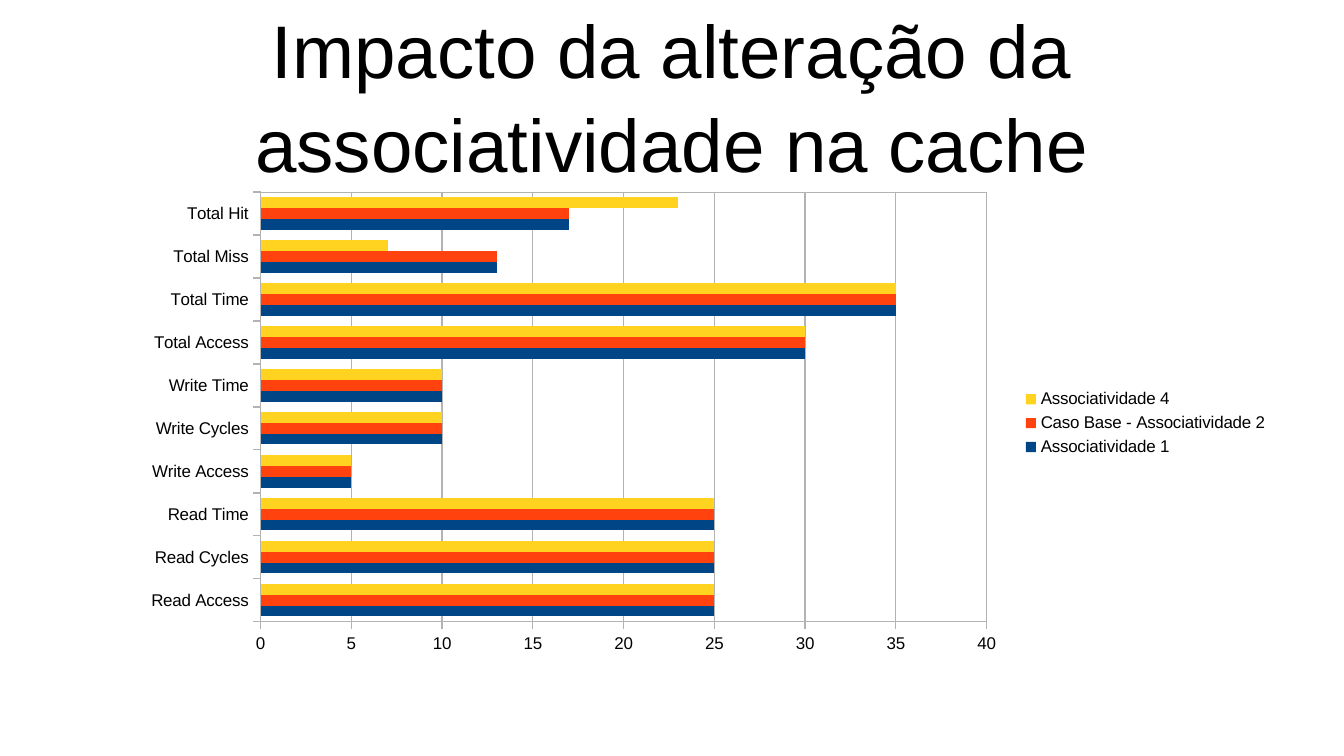
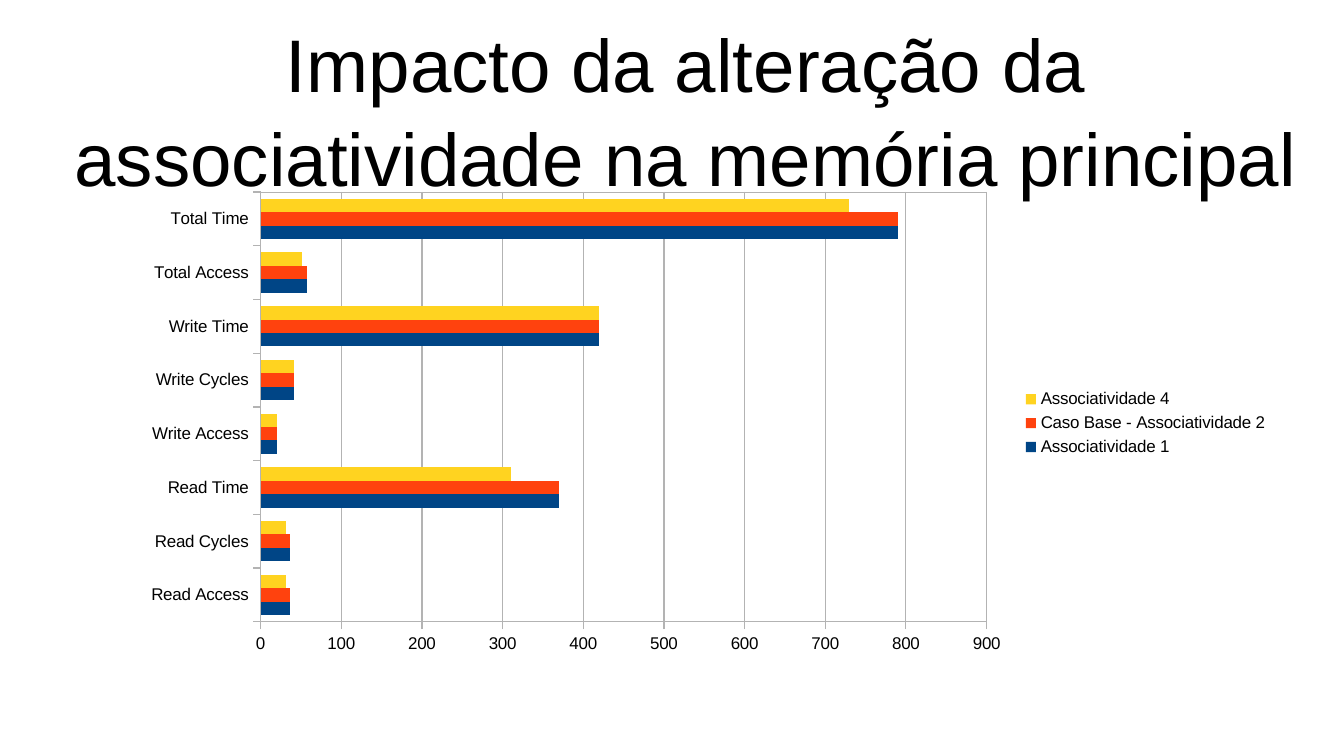
from lxml import etree
from pptx import Presentation
from pptx.chart import data as chart_data
from pptx.dml import color
from pptx.enum import chart as chart_enum, text
from pptx.oxml import ns, parse_xml
from pptx.util import Pt

FONT = "Arial"
BLACK = "000000"
GRID_GREY = "B3B3B3"
SERIES_COLOURS = {
    "Associatividade 1": "004586",
    "Caso Base - Associatividade 2": "FF420E",
    "Associatividade 4": "FFD320",
}
CHART_BOX = (75.6, 108, 680.4, 283.7)

READ_WRITE = ["Read Access", "Read Cycles", "Read Time",
              "Write Access", "Write Cycles", "Write Time",
              "Total Access", "Total Time"]
CACHE_BASE = [25, 25, 25, 5, 10, 10, 30, 35]
MEMORY_BASE = [37, 37, 370, 21, 42, 420, 58, 790]

SLIDES = [
    {
        "title": "Impacto da alteração da associatividade na cache",
        "title_box": (39.6, 5.8, 714.2, 98.6),
        "categories": READ_WRITE + ["Total Miss", "Total Hit"],
        "values": [CACHE_BASE + [13, 17], CACHE_BASE + [13, 17],
                   CACHE_BASE + [7, 23]],
        "maximum": 40, "step": 5, "plot_width": 0.63,
    },
    {
        "title": "Impacto da alteração da associatividade na memória principal",
        "title_box": (36, -34.6, 738, 196.6),
        "categories": READ_WRITE,
        "values": [MEMORY_BASE, MEMORY_BASE,
                   [31, 31, 310, 21, 42, 420, 52, 730]],
        "maximum": 900, "step": 100, "plot_width": 0.63,
    },
]


def rgb(hex_code):
    return color.RGBColor.from_string(hex_code)


def set_all(target, values):
    for name, value in values.items():
        setattr(target, name, value)


def style_font(font, size):
    set_all(font, {"name": FONT, "size": Pt(size), "bold": False})
    font.color.rgb = rgb(BLACK)


def style_line(line):
    line.color.rgb = rgb(GRID_GREY)
    line.width = Pt(0)


def add_part(parent, tag, **attributes):
    """Append an element such as "c:layout" and return it."""
    return etree.SubElement(parent, ns.qn(tag), attributes)


def shape_properties():
    return parse_xml(f'<c:spPr {ns.nsdecls("c", "a")}><a:noFill/><a:ln w="0"/></c:spPr>')


def frame_plot(chart, width):
    """Fix the inner plot area, outline it and leave the chart unfilled."""
    body = chart.element.find(ns.qn("c:chart"))
    chart_look = shape_properties()
    add_part(chart_look.find(ns.qn("a:ln")), "a:noFill")
    body.addnext(chart_look)

    area = body.find(ns.qn("c:plotArea"))
    for old_layout in area.findall(ns.qn("c:layout")):
        area.remove(old_layout)
    layout = add_part(area, "c:layout")
    area.insert(0, layout)
    manual = add_part(layout, "c:manualLayout")
    places = {"layoutTarget": "inner", "xMode": "edge", "yMode": "edge",
              "x": 0.115, "y": 0.019, "w": width, "h": 0.895}
    for name, value in places.items():
        add_part(manual, f"c:{name}", val=str(value))

    wall_look = shape_properties()
    outline = add_part(wall_look.find(ns.qn("a:ln")), "a:solidFill")
    add_part(outline, "a:srgbClr", val=GRID_GREY)
    area.append(wall_look)


def add_title(slide, wording, bounds):
    box = slide.shapes.add_textbox(*map(Pt, bounds))
    frame = box.text_frame
    set_all(frame, {
        "word_wrap": True,
        "auto_size": text.MSO_AUTO_SIZE.SHAPE_TO_FIT_TEXT,
        "vertical_anchor": text.MSO_ANCHOR.MIDDLE,
        "margin_left": 0, "margin_right": 0,
        "margin_top": 0, "margin_bottom": 0,
    })
    para = frame.paragraphs[0]
    set_all(para, {"alignment": text.PP_ALIGN.CENTER, "line_spacing": 1.05})
    span = para.add_run()
    span.text = wording
    style_font(span.font, 44)


def add_bar_chart(slide, content):
    table = chart_data.CategoryChartData()
    table.categories = content["categories"]
    for name, values in zip(SERIES_COLOURS, content["values"]):
        table.add_series(name, values)
    chart = slide.shapes.add_chart(
        chart_enum.XL_CHART_TYPE.BAR_CLUSTERED, *map(Pt, CHART_BOX), table).chart
    chart.has_title = False
    style_font(chart.font, 10)

    chart.has_legend = True
    set_all(chart.legend, {"position": chart_enum.XL_LEGEND_POSITION.RIGHT,
                           "include_in_layout": False})
    style_font(chart.legend.font, 10)

    plot = chart.plots[0]
    set_all(plot, {"gap_width": 100, "overlap": 0, "vary_by_categories": False})
    for series in plot.series:
        series.format.fill.solid()
        series.format.fill.fore_color.rgb = rgb(SERIES_COLOURS[series.name])
        series.format.line.fill.background()

    for axis in (chart.category_axis, chart.value_axis):
        set_all(axis, {"major_tick_mark": chart_enum.XL_TICK_MARK.OUTSIDE,
                       "minor_tick_mark": chart_enum.XL_TICK_MARK.NONE})
        style_font(axis.tick_labels.font, 10)
        style_line(axis.format.line)
    set_all(chart.value_axis, {
        "minimum_scale": 0, "maximum_scale": content["maximum"],
        "major_unit": content["step"], "has_major_gridlines": True})
    style_line(chart.value_axis.major_gridlines.format.line)
    frame_plot(chart, content["plot_width"])


def main():
    deck = Presentation()
    set_all(deck, {"slide_width": Pt(793.44), "slide_height": Pt(446.4)})
    for content in SLIDES:
        page = deck.slides.add_slide(deck.slide_layouts[6])
        add_title(page, content["title"], content["title_box"])
        add_bar_chart(page, content)
    deck.save("out.pptx")


if __name__ == "__main__":
    main()
